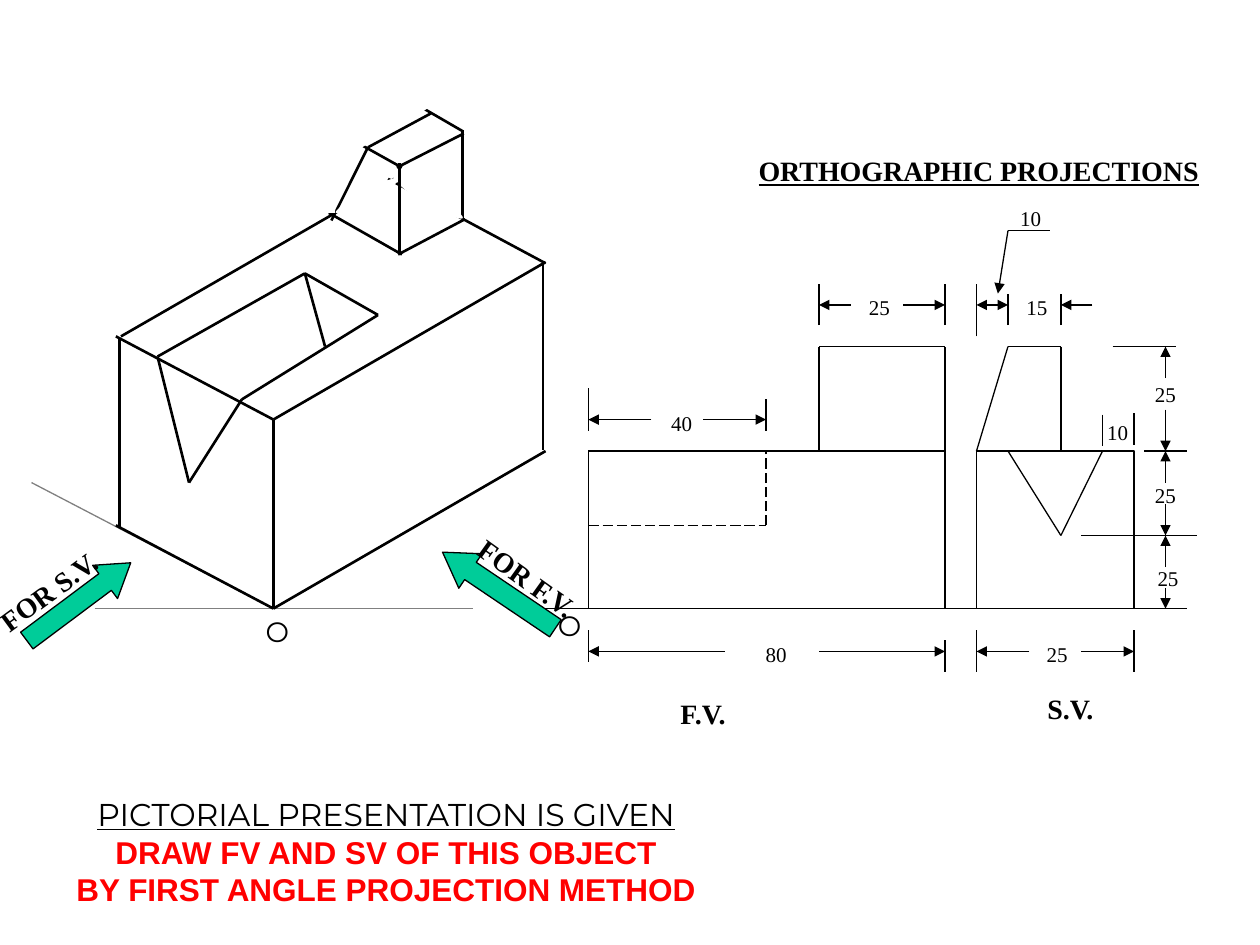
import pptx
import pptx.util
import pptx.dml.color
import pptx.enum.dml
import pptx.enum.shapes
import pptx.enum.text
import pptx.oxml
import pptx.oxml.ns

Inches = pptx.util.Inches
RGB = pptx.dml.color.RGBColor.from_string
SHAPE = pptx.enum.shapes.MSO_SHAPE
ALIGN = pptx.enum.text.PP_ALIGN
COLORS = {"ink": "000000", "guide": "808080", "paper": "FFFFFF",
          "arrow": "00CC99", "task": "FF0000"}
FORMATS = {
    "dimension": {"name": "Times New Roman", "size": pptx.util.Pt(12)},
    "view": {"name": "Times New Roman", "size": pptx.util.Pt(16), "bold": True},
    "origin": {"name": "Montserrat", "size": pptx.util.Pt(16)},
    "heading": {"name": "Times New Roman", "size": pptx.util.Pt(16),
                "bold": True, "underline": True},
    "given": {"name": "Montserrat", "size": pptx.util.Pt(18), "underline": True},
    "task": {"name": "Arial", "size": pptx.util.Pt(18), "bold": True},
}
FRAME = {"word_wrap": False,
         "auto_size": pptx.enum.text.MSO_AUTO_SIZE.SHAPE_TO_FIT_TEXT,
         "vertical_anchor": pptx.enum.text.MSO_ANCHOR.TOP}


def draw_lines(shapes, segments, weight=0.75, color="ink", dash=None, tips=()):
    for ends in segments:
        line = shapes.add_connector(
            pptx.enum.shapes.MSO_CONNECTOR.STRAIGHT, *map(Inches, ends))
        line.line.color.rgb = RGB(COLORS[color])
        line.line.width = pptx.util.Pt(weight)
        if dash:
            line.line.dash_style = dash
        outline = line.line._get_or_add_ln()
        for tip in tips:
            outline.append(pptx.oxml.parse_xml(
                f'<a:{tip} {pptx.oxml.ns.nsdecls("a")} type="triangle"/>'))
        line._element.spPr.append(pptx.oxml.parse_xml(
            f'<a:effectLst {pptx.oxml.ns.nsdecls("a")}/>'))


def write(box, paragraphs, align=ALIGN.CENTER):
    frame = box.text_frame
    for key, value in FRAME.items():
        setattr(frame, key, value)
    for index, (text, style) in enumerate(paragraphs):
        paragraph = frame.add_paragraph() if index else frame.paragraphs[0]
        paragraph.alignment = align
        run = paragraph.add_run()
        run.text = text
        for key, value in FORMATS[style].items():
            setattr(run.font, key, value)
        run.font.color.rgb = RGB(COLORS["task" if style == "task" else "ink"])


deck = pptx.Presentation()
deck.slide_width, deck.slide_height = Inches(10), Inches(7.5)
slide = deck.slides.add_slide(deck.slide_layouts[5])

heading = slide.shapes.title
heading.left, heading.top, heading.width, heading.height = map(
    Inches, (5.92, 1.17, 3.7, 0.37))
write(heading, [("ORTHOGRAPHIC PROJECTIONS", "heading")], ALIGN.LEFT)

pictorial = slide.shapes.add_group_shape().shapes
draw_lines(pictorial, [
    (0.75, 4.83, 3.75, 4.83), (2.17, 4.83, 4.17, 3.67),
    (2.17, 4.83, 0.25, 3.83)], color="guide")
draw_lines(pictorial, [(2.64, 1.71, 2.64, 1), (3.18, 0.75, 2.64, 1.03)])
draw_lines(pictorial, [
    (2.17, 4.83, 2.17, 3.33), (2.17, 3.33, 4.33, 2.08),
    (2.17, 4.83, 4.33, 3.58), (4.31, 3.57, 4.31, 2.07),
    (2.17, 3.33, 0.92, 2.67), (0.95, 4.18, 0.95, 2.68),
    (0.96, 2.67, 3.13, 1.42), (4.33, 2.09, 3.08, 1.42),
    (1.25, 2.83, 1.5, 3.83), (1.92, 3.17, 1.5, 3.83),
    (1.25, 2.83, 2.42, 2.17), (2.42, 2.17, 3, 2.5),
    (1.92, 3.17, 3, 2.5), (2.42, 2.17, 2.58, 2.75),
    (3.69, 1.74, 3.16, 2.02), (2.61, 1.69, 3.19, 2.02),
    (3.67, 1.74, 3.67, 1.03), (3.68, 1.06, 3.15, 1.33),
    (2.67, 1.04, 3.19, 1.33), (3.17, 0.75, 3.67, 1.04),
    (2.92, 1.17, 2.63, 1.75), (2.92, 1.17, 3.42, 0.9)], weight=1.5)
for kind, place, angle in [
        (SHAPE.OVAL, (2.63, 1.51, 0.58, 0.08), 331.5),
        (SHAPE.OVAL, (3.13, 1.55, 0.58, 0.08), 29.1),
        (SHAPE.RECTANGLE, (2.47, 0.78, 0.92, 0.33), 329.3),
        (SHAPE.RECTANGLE, (2.58, 1.27, 0.08, 0.42), 0)]:
    cover = pictorial.add_shape(kind, *map(Inches, place))
    cover.rotation = angle
    cover.shadow.inherit = False
    cover.fill.solid()
    cover.fill.fore_color.rgb = RGB(COLORS["paper"])
    cover.line.fill.background()
draw_lines(pictorial, [(3.17, 2, 3.17, 1.29), (2.17, 4.83, 0.92, 4.17)], weight=1.5)

draw_lines(slide.shapes, [(4.25, 4.83, 9.42, 4.83)])

front = slide.shapes.add_group_shape().shapes
draw_lines(front, [
    (4.67, 3.58, 4.67, 4.83), (4.67, 3.58, 7.5, 3.58), (4.67, 4.83, 7.5, 4.83),
    (7.5, 4.83, 7.5, 2.75), (7.5, 2.75, 6.5, 2.75), (6.5, 2.75, 6.5, 3.58),
    (4.67, 3.42, 4.67, 3.08), (6.08, 3.42, 6.08, 3.17),
    (6.5, 2.58, 6.5, 2.25), (7.5, 2.58, 7.5, 2.25),
    (7.5, 5.08, 7.5, 5.33), (4.67, 5, 4.67, 5.25)])
draw_lines(front, [(4.67, 4.17, 6.08, 4.17), (6.08, 4.17, 6.08, 3.58)],
           dash=pptx.enum.dml.MSO_LINE.LONG_DASH)
draw_lines(front, [
    (5.17, 3.33, 4.67, 3.33), (5.58, 3.33, 6.08, 3.33),
    (6.75, 2.42, 6.5, 2.42), (7.17, 2.42, 7.5, 2.42),
    (5.75, 5.17, 4.67, 5.17), (6.5, 5.17, 7.5, 5.17)], tips=["tailEnd"])

side = slide.shapes.add_group_shape().shapes
block = side.add_shape(SHAPE.RECTANGLE, *map(Inches, (7.75, 3.58, 1.25, 1.25)))
block.shadow.inherit = False
block.fill.solid()
block.fill.fore_color.rgb = RGB(COLORS["paper"])
block.line.color.rgb = RGB(COLORS["ink"])
block.line.width = pptx.util.Pt(0.75)
draw_lines(side, [
    (8, 2.75, 8.42, 2.75), (8, 2.75, 7.75, 3.58), (8.42, 2.75, 8.42, 3.58),
    (8, 3.58, 8.42, 4.25), (8.75, 3.58, 8.42, 4.25),
    (8.42, 2.58, 8.42, 2.33), (8, 2.58, 8, 2.33), (7.75, 2.67, 7.75, 2.25),
    (8.83, 2.75, 9.33, 2.75), (9.08, 3.58, 9.42, 3.58), (8.58, 4.25, 9.5, 4.25),
    (7.75, 5, 7.75, 5.33), (9, 5, 9, 5.33),
    (8.75, 3.29, 8.75, 3.54), (9, 3.53, 9, 3.28), (8, 1.83, 8.33, 1.83)])
draw_lines(side, [(7.75, 2.42, 8, 2.42)], tips=["headEnd", "tailEnd"])
draw_lines(side, [
    (8.67, 2.42, 8.42, 2.42), (8.17, 5.17, 7.75, 5.17), (8.58, 5.17, 9, 5.17),
    (9.25, 3.83, 9.25, 3.58), (9.25, 4, 9.25, 4.25),
    (9.25, 4.5, 9.25, 4.25), (9.25, 4.67, 9.25, 4.83),
    (9.25, 3, 9.25, 2.75), (9.25, 3.25, 9.25, 3.58),
    (8, 1.83, 7.92, 2.33)], tips=["tailEnd"])

for view, text, style, left, top, width, height in [
        (pictorial, "O", "origin", 2.01, 4.83, 0.37, 0.37),
        (front, "O", "origin", 4.33, 4.78, 0.37, 0.37),
        (front, "40", "dimension", 5.21, 3.21, 0.4, 0.3),
        (front, "25", "dimension", 6.78, 2.29, 0.4, 0.3),
        (front, "80", "dimension", 5.96, 5.04, 0.4, 0.3),
        (front, "F.V.", "view", 5.28, 5.48, 0.6, 0.37),
        (side, "10", "dimension", 7.98, 1.58, 0.4, 0.3),
        (side, "15", "dimension", 8.03, 2.29, 0.4, 0.3),
        (side, "25", "dimension", 9.05, 2.98, 0.4, 0.3),
        (side, "25", "dimension", 9.05, 3.78, 0.4, 0.3),
        (side, "25", "dimension", 9.07, 4.44, 0.4, 0.3),
        (side, "25", "dimension", 8.19, 5.04, 0.4, 0.3),
        (side, "10", "dimension", 8.67, 3.28, 0.4, 0.3),
        (side, "S.V.", "view", 8.2, 5.44, 0.59, 0.37)]:
    label = view.add_textbox(*map(Inches, (left, top, width, height)))
    write(label, [(text, style)])

for text, arrow_place, arrow_angle, head, text_place, text_angle in [
        ("FOR S.V.", (0.11, 4.61, 1.03, 0.33), 143.2, 0.77,
         (-0.16, 4.5, 1.11, 0.37), 323.8),
        ("FOR F.V.", (3.42, 4.52, 1.08, 0.33), 34, 0.81,
         (3.64, 4.42, 1.13, 0.37), 35.6)]:
    direction = slide.shapes.add_group_shape().shapes
    arrow = direction.add_shape(SHAPE.LEFT_ARROW, *map(Inches, arrow_place))
    arrow.rotation = arrow_angle
    arrow.adjustments[1] = head
    arrow.shadow.inherit = False
    arrow.fill.solid()
    arrow.fill.fore_color.rgb = RGB(COLORS["arrow"])
    arrow.line.color.rgb = RGB(COLORS["ink"])
    arrow.line.width = pptx.util.Pt(0.75)
    caption = direction.add_textbox(*map(Inches, text_place))
    caption.rotation = text_angle
    write(caption, [(text, "view")], ALIGN.LEFT)

task = slide.shapes.add_textbox(*map(Inches, (0.5, 6.26, 5.13, 1)))
write(task, [("PICTORIAL PRESENTATION IS GIVEN", "given"),
             ("DRAW FV AND SV OF THIS OBJECT", "task"),
             ("BY FIRST ANGLE PROJECTION METHOD", "task")])

deck.save("out.pptx")
